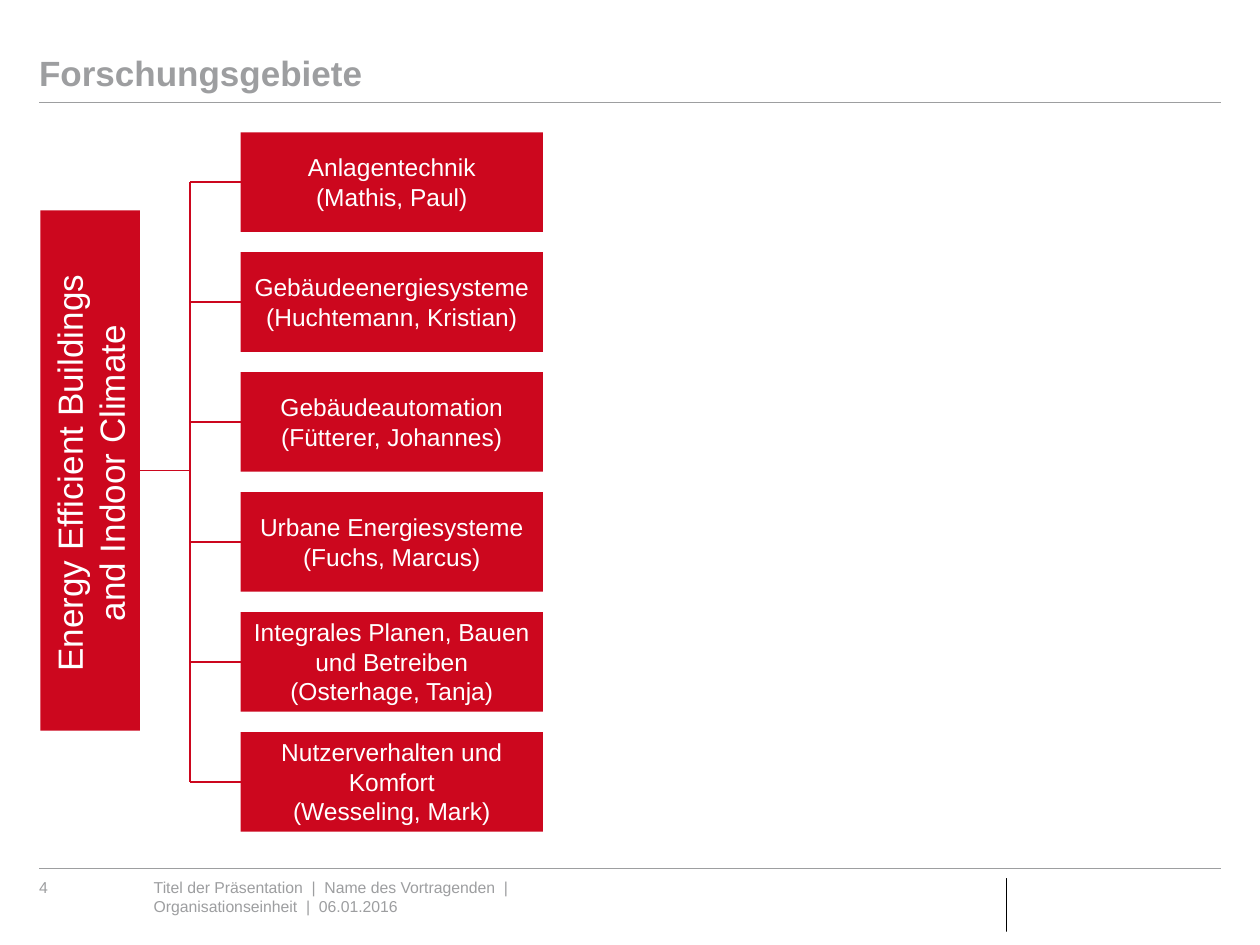
from pptx import Presentation
from pptx.dml.color import RGBColor
from pptx.enum import shapes, text
from pptx.oxml import ns
from pptx.util import Inches, Pt
from lxml import etree

COLORS = {"red": "CC071E", "grey": "9D9EA0", "white": "FFFFFF", "black": "000000"}
FONT = "Arial"
AREAS = [
    ("Anlagentechnik", "(Mathis, Paul)", 2),
    ("Gebäudeenergiesysteme", "(Huchtemann, Kristian)", 2),
    ("Gebäudeautomation", "(Fütterer, Johannes)", 2),
    ("Urbane Energiesysteme", "(Fuchs, Marcus)", 2),
    ("Integrales Planen, Bauen und Betreiben", "(Osterhage, Tanja)", 3),
    ("Nutzerverhalten und Komfort", "(Wesseling, Mark)", 3),
]
AREA_LEFT, AREA_WIDTH, AREA_HEIGHT = 1.91, 2.4, 0.79
FIRST_TOP, LAST_TOP = 1.05, 5.81
AREA_PITCH = (LAST_TOP - FIRST_TOP) / (len(AREAS) - 1)
ROOT_LEFT, ROOT_TOP, ROOT_WIDTH, ROOT_HEIGHT = 0.32, 1.67, 0.79, 4.13
TRUNK_X = 1.51
LINE_HEIGHT = 0.235


def rgb(name):
    return RGBColor.from_string(COLORS[name])


def style_text(frame, size, color, align=None, bold=False):
    frame.margin_left = frame.margin_top = frame.margin_right = frame.margin_bottom = 0
    frame.word_wrap = True
    for paragraph in frame.paragraphs:
        paragraph.alignment = align
        paragraph.font.name = FONT
        paragraph.font.size = Pt(size)
        paragraph.font.bold = bold
        paragraph.font.color.rgb = rgb(color)


def add_label(slide, wording, left, top, width, height, size, color, align=None):
    label = slide.shapes.add_textbox(Inches(left), Inches(top), Inches(width), Inches(height))
    label.text_frame.text = wording
    style_text(label.text_frame, size, color, align)
    return label


def add_bar(slide, left, top, width, height, color):
    bar = slide.shapes.add_shape(
        shapes.MSO_SHAPE.RECTANGLE, Inches(left), Inches(top), Inches(width), Inches(height))
    bar.shadow.inherit = False
    bar.fill.solid()
    bar.fill.fore_color.rgb = rgb(color)
    bar.line.fill.background()
    return bar


def add_line(slide, x1, y1, x2, y2, color, weight):
    line = slide.shapes.add_connector(
        shapes.MSO_CONNECTOR.STRAIGHT, Inches(x1), Inches(y1), Inches(x2), Inches(y2))
    line.line.color.rgb = rgb(color)
    line.line.width = Pt(weight)
    etree.SubElement(line._element.spPr, ns.qn("a:effectLst"))
    return line


def add_title(slide, wording):
    title = slide.shapes.title
    title.left, title.top = Inches(0.31), Inches(0.16)
    title.width, title.height = Inches(9.37), Inches(0.59)
    frame = title.text_frame
    frame.text = wording
    frame.auto_size = text.MSO_AUTO_SIZE.NONE
    frame.vertical_anchor = text.MSO_ANCHOR.BOTTOM
    style_text(frame, 20, "grey", text.PP_ALIGN.LEFT, bold=True)
    frame.paragraphs[0].line_spacing = 0.9


def add_page_frame(slide):
    for y in (0.81, 6.89):
        add_line(slide, 0.31, y, 9.69, y, "grey", 0.5)
    add_label(slide, "4", 0.31, 6.97, 0.72, 0.15, 9, "grey")
    add_label(slide, "Titel der Präsentation  |  Name des Vortragenden  |  "
              "Organisationseinheit  |  06.01.2016", 1.22, 6.97, 2.95, 0.47, 9, "grey")
    divider = add_bar(slide, 7.99, 6.97, 0, 0.42, "black")
    divider.line.color.rgb = rgb("black")
    divider.line.width = Pt(0.75)


def add_root(slide):
    root = add_bar(slide, ROOT_LEFT, ROOT_TOP, ROOT_WIDTH, ROOT_HEIGHT, "red")
    name = add_label(slide, "Energy Efficient Buildings and Indoor Climate",
                     -0.98, 3.42, 3.39, 0.67, 20, "white", text.PP_ALIGN.CENTER)
    name.rotation = 270
    middle = ROOT_TOP + ROOT_HEIGHT / 2
    stem = add_line(slide, ROOT_LEFT + ROOT_WIDTH, middle, TRUNK_X, middle, "red", 1)
    stem.begin_connect(root, 3)


def add_area(slide, top, topic, lead, line_count):
    area = add_bar(slide, AREA_LEFT, top, AREA_WIDTH, AREA_HEIGHT, "red")
    middle = top + AREA_HEIGHT / 2
    height = line_count * LINE_HEIGHT
    add_label(slide, f"{topic}\n{lead}", AREA_LEFT, middle - height / 2, AREA_WIDTH, height,
              14, "white", text.PP_ALIGN.CENTER)
    branch = add_line(slide, TRUNK_X, middle, AREA_LEFT, middle, "red", 1)
    branch.end_connect(area, 1)


def main():
    presentation = Presentation()
    presentation.slide_width, presentation.slide_height = Inches(10), Inches(7.5)
    slide = presentation.slides.add_slide(presentation.slide_layouts[5])
    add_page_frame(slide)
    add_title(slide, "Forschungsgebiete")
    for index, (topic, lead, line_count) in enumerate(AREAS):
        add_area(slide, FIRST_TOP + index * AREA_PITCH, topic, lead, line_count)
    add_root(slide)
    add_line(slide, TRUNK_X, FIRST_TOP + AREA_HEIGHT / 2,
             TRUNK_X, LAST_TOP + AREA_HEIGHT / 2, "red", 1)
    presentation.save("out.pptx")


if __name__ == "__main__":
    main()
